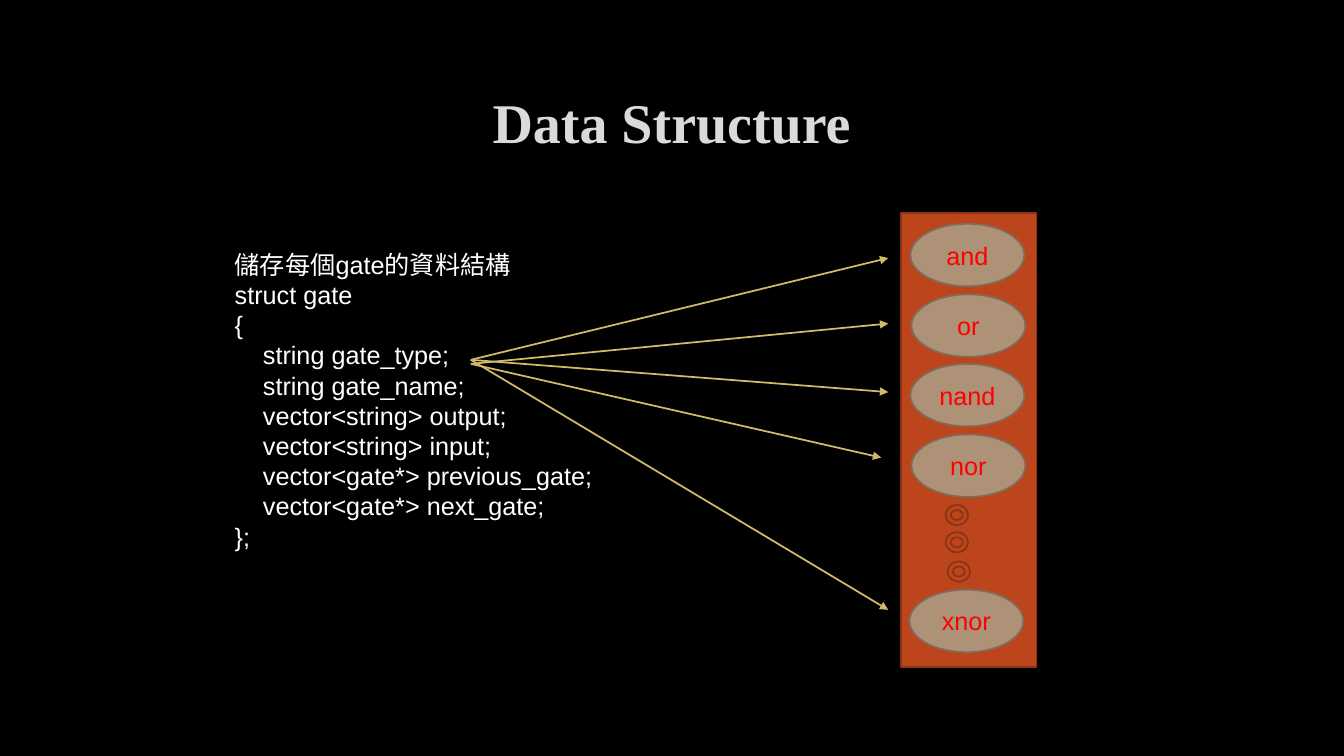
from dataclasses import dataclass

from lxml import etree
from pptx import Presentation
from pptx.dml.color import RGBColor
from pptx.enum.shapes import MSO_CONNECTOR, MSO_SHAPE
from pptx.enum.text import MSO_ANCHOR, PP_ALIGN
from pptx.oxml.ns import qn
from pptx.util import Emu, Pt

RECT, OVAL, DONUT = MSO_SHAPE.RECTANGLE, MSO_SHAPE.OVAL, MSO_SHAPE.DONUT
STRAIGHT = MSO_CONNECTOR.STRAIGHT
TOP, MIDDLE = MSO_ANCHOR.TOP, MSO_ANCHOR.MIDDLE
LEFT, CENTER = PP_ALIGN.LEFT, PP_ALIGN.CENTER

PX = 9144  # 100 px to the inch
COLORS = {
    "back": "000000", "title": "DADADA", "code": "FFFFFF", "gate": "FF0000",
    "panel": "BC451B", "edge": "8B3314", "oval": "AD9277", "rim": "806C58",
    "arrow": "D3BA68",
}
TITLE = {"name": "Times New Roman", "size": Pt(40), "bold": True}
BODY = {"name": "Arial", "size": Pt(18), "bold": False}
INDENT = 28
WIDTH = 1.25


@dataclass
class Box:
    x: int
    y: int
    w: int
    h: int


@dataclass
class Gate:
    label: str
    x: int
    y: int


@dataclass
class Arrow:
    start: int
    x: int
    y: int


@dataclass
class Line:
    text: str
    level: int = 0


PANEL = Box(894, 211, 134, 451)
GATES = [Gate("and", 903, 222), Gate("or", 904, 292), Gate("nand", 903, 361),
         Gate("nor", 904, 431), Gate("xnor", 902, 585)]
RINGS = [Box(938, 501, 22, 20), Box(938, 528, 22, 20), Box(940, 557, 22, 20)]
FAN = 467
ARROWS = [Arrow(357, 881, 256), Arrow(361, 881, 321), Arrow(357, 881, 389),
          Arrow(361, 874, 454), Arrow(357, 881, 605)]
CODE = [
    Line("儲存每個gate的資料結構"),
    Line("struct gate"),
    Line("{"),
    Line("string gate_type;", 1),
    Line("string gate_name;", 1),
    Line("vector<string> output;", 1),
    Line("vector<string> input;", 1),
    Line("vector<gate*> previous_gate;", 1),
    Line("vector<gate*> next_gate;", 1),
    Line("};"),
]


def px(n: int) -> Emu:
    return Emu(n * PX)


def rgb(key: str) -> RGBColor:
    return RGBColor.from_string(COLORS[key])


def place(box: Box) -> list[Emu]:
    return [px(n) for n in (box.x, box.y, box.w, box.h)]


def write(frame, lines: list[Line], style: dict, color: str, align, anchor) -> None:
    frame.word_wrap = True
    frame.vertical_anchor = anchor
    for i, line in enumerate(lines):
        para = frame.paragraphs[0] if i == 0 else frame.add_paragraph()
        para.alignment = align
        if line.level:
            para._p.get_or_add_pPr().set("marL", str(px(INDENT * line.level)))
        run = para.add_run()
        run.text = line.text
        for name, value in style.items():
            setattr(run.font, name, value)
        run.font.color.rgb = rgb(color)


def add_text(slide, box: Box, lines: list[Line], style: dict, color: str,
             align, anchor) -> None:
    frame = slide.shapes.add_textbox(*place(box)).text_frame
    write(frame, lines, style, color, align, anchor)


def add_form(slide, kind, box: Box, fill: str, edge: str):
    form = slide.shapes.add_shape(kind, *place(box))
    form.shadow.inherit = False
    form.fill.solid()
    form.fill.fore_color.rgb = rgb(fill)
    form.line.color.rgb = rgb(edge)
    form.line.width = Pt(WIDTH)
    return form


def add_gate(slide, gate: Gate) -> None:
    oval = add_form(slide, OVAL, Box(gate.x, gate.y, 113, 62), "oval", "rim")
    frame = oval.text_frame
    for side in ("left", "right", "top", "bottom"):
        setattr(frame, f"margin_{side}", 0)
    write(frame, [Line(gate.label)], BODY, "gate", CENTER, MIDDLE)


def add_arrow(slide, arrow: Arrow) -> None:
    ends = [px(n) for n in (FAN, arrow.start, arrow.x, arrow.y)]
    link = slide.shapes.add_connector(STRAIGHT, *ends)
    link.line.color.rgb = rgb("arrow")
    link.line.width = Pt(WIDTH)
    etree.SubElement(link.line._get_or_add_ln(), qn("a:tailEnd"), type="triangle")
    etree.SubElement(link._element.spPr, qn("a:effectLst"))


def main() -> None:
    deck = Presentation()
    deck.slide_width, deck.slide_height = px(1333), px(750)
    slide = deck.slides.add_slide(deck.slide_layouts[6])
    slide.background.fill.solid()
    slide.background.fill.fore_color.rgb = rgb("back")

    # Title
    add_text(slide, Box(100, 67, 1132, 106), [Line("Data Structure")],
             TITLE, "title", CENTER, MIDDLE)

    # Panel of gate types
    add_form(slide, RECT, PANEL, "panel", "edge")
    for gate in GATES:
        add_gate(slide, gate)
    for ring in RINGS:
        add_form(slide, DONUT, ring, "panel", "edge")

    # Arrows from gate_type to each gate
    for arrow in ARROWS:
        add_arrow(slide, arrow)

    # Struct listing
    add_text(slide, Box(223, 242, 667, 313), CODE, BODY, "code", LEFT, TOP)

    deck.save("out.pptx")


if __name__ == "__main__":
    main()
